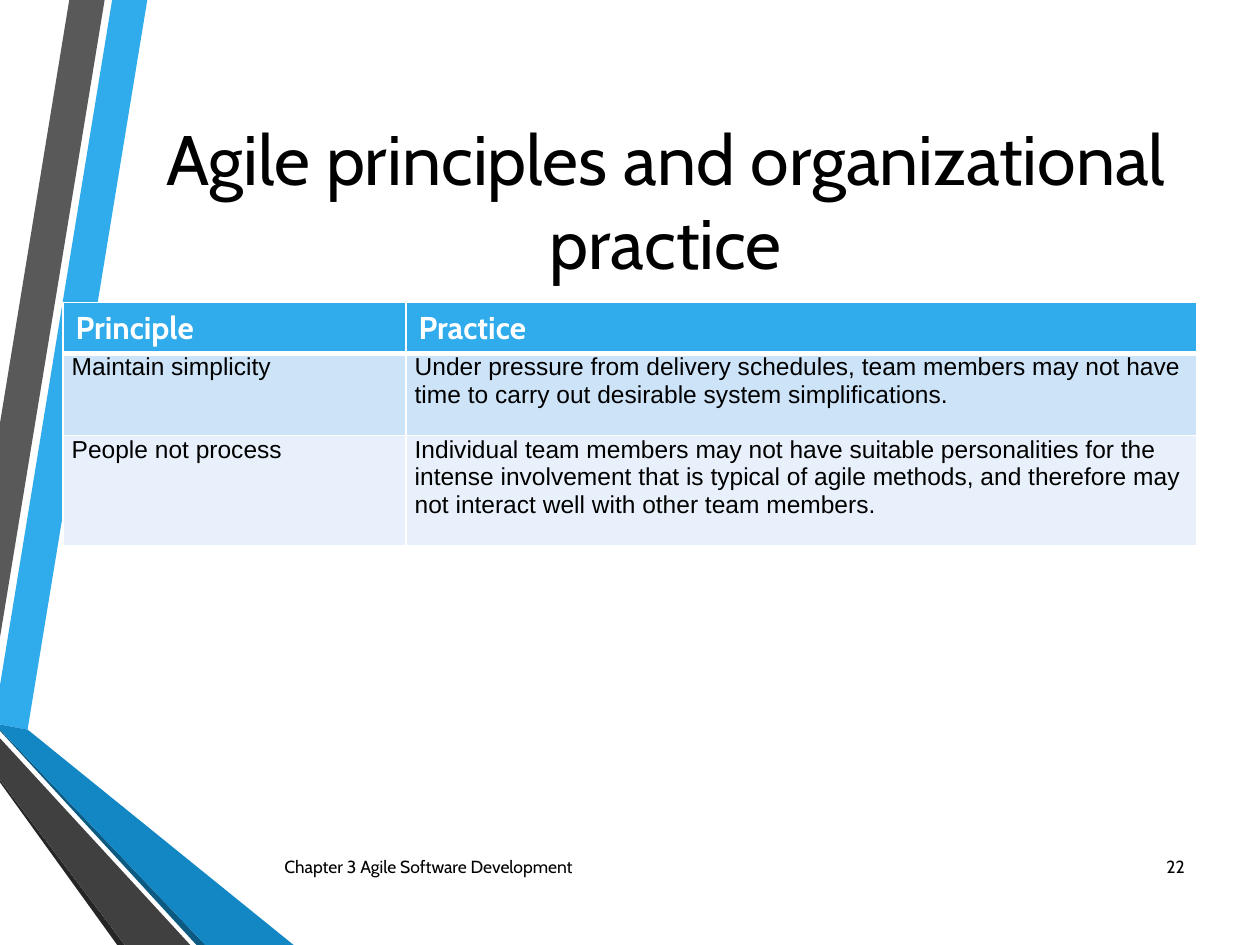
from lxml import etree
from pptx import Presentation
from pptx import util as u
from pptx.dml.color import RGBColor
from pptx.enum import text
from pptx.oxml import ns

Pt = u.Pt
COLORS = {
    "white": "FFFFFF", "black": "000000", "sky": "30ACEC", "blue": "1287C3",
    "navy": "0C5A82", "gray": "595959", "charcoal": "404040", "coal": "262626",
    "odd row": "CDE3F8", "even row": "E8F1FB",
}
# Ribbon outlines, in points from the corner of their box
RIBBONS = [
    ("sky", [(0, 391.7), (0, 414), (15.8, 416.9), (84.2, 0), (64.1, 0)]),
    ("gray", [(59.8, 0), (39.6, 0), (0, 241.9), (0, 364.3)]),
    ("coal", [(0, 445.7), (0, 447.1), (67, 540), (71.3, 540)]),
    ("navy", [(0, 416.9), (0, 417.6), (112.3, 540), (117.4, 540)]),
    ("blue", [(0, 416.9), (117.4, 540), (167.8, 540), (15.8, 416.9), (0, 414)]),
    ("charcoal", [(0, 445.7), (71.3, 540), (108.7, 540), (0, 421.9)]),
]
ROWS = [
    ("Principle", "Practice"),
    ("Maintain simplicity",
     "Under pressure from delivery schedules, team members may not have "
     "time to carry out desirable system simplifications."),
    ("People not process",
     "Individual team members may not have suitable personalities for the "
     "intense involvement that is typical of agile methods, and therefore may "
     "not interact well with other team members."),
]


def rgb(name):
    return RGBColor.from_string(COLORS[name])


def style_text(frame, size, font, color="black", bold=False, align=None):
    for para in frame.paragraphs:
        para.alignment = align
        for span in para.runs:
            span.font.size, span.font.name, span.font.bold = Pt(size), font, bold
            span.font.color.rgb = rgb(color)


def add_ribbons(page, left, top):
    for color, points in RIBBONS:
        corners = [(Pt(left + x), Pt(top + y)) for x, y in points]
        builder = page.shapes.build_freeform(*corners[0], scale=1.0)
        builder.add_line_segments(corners[1:], close=True)
        ribbon = builder.convert_to_shape()
        ribbon.shadow.inherit = False
        ribbon.fill.solid()
        ribbon.fill.fore_color.rgb = rgb(color)
        ribbon.line.fill.background()


def add_label(page, box, words, size, align):
    label = page.shapes.add_textbox(*map(Pt, box))
    frame = label.text_frame
    frame.word_wrap = True
    frame.vertical_anchor = text.MSO_ANCHOR.MIDDLE
    frame.text = words
    style_text(frame, size, "Cabin", align=align)


def set_borders(cell, widths):
    properties = cell._tc.get_or_add_tcPr()
    for side, width in widths.items():
        line = etree.SubElement(properties, ns.qn(f"a:ln{side}"), w=str(Pt(width)))
        fill = etree.SubElement(line, ns.qn("a:solidFill"))
        etree.SubElement(fill, ns.qn("a:srgbClr"), val=COLORS["white"])


def add_principles_table(page, box, column_widths, row_heights):
    table = page.shapes.add_table(len(ROWS), len(column_widths), *map(Pt, box)).table
    for column, width in zip(table.columns, column_widths):
        column.width = Pt(width)
    for index, (row, height, words) in enumerate(zip(table.rows, row_heights, ROWS)):
        row.height = Pt(height)
        header = index == 0
        fill = "sky" if header else "odd row" if index % 2 else "even row"
        for cell, content in zip(row.cells, words):
            cell.text = content
            # The line under the header is heavier
            set_borders(cell, {"L": 1, "R": 1, "T": 3 if index == 1 else 1,
                               "B": 3 if header else 1})
            cell.fill.solid()
            cell.fill.fore_color.rgb = rgb(fill)
            if header:
                style_text(cell.text_frame, 18, "Cabin", "white", bold=True)
            else:
                cell.margin_left = cell.margin_right = Pt(5)
                cell.margin_top = cell.margin_bottom = 0
                style_text(cell.text_frame, 14, "Arial")


def add_footer(page, left, top, width, height):
    number_width = 34
    add_label(page, (left, top, 418, height),
              "Chapter 3 Agile Software Development", 10, text.PP_ALIGN.LEFT)
    add_label(page, (left + width - number_width, top, number_width, height),
              "22", 10, text.PP_ALIGN.RIGHT)


def main():
    deck = Presentation()
    deck.slide_width, deck.slide_height = Pt(720), Pt(540)
    page = deck.slides.add_slide(deck.slide_layouts[6])
    add_ribbons(page, 0, 0)
    add_label(page, (77, 36, 607, 156),
              "Agile principles and organizational practice", 40, text.PP_ALIGN.CENTER)
    add_principles_table(page, (36, 172.8, 648, 139), (196, 452), (29.2, 47, 62.8))
    add_footer(page, 155.5, 481, 528.5, 28.8)
    deck.save("out.pptx")


if __name__ == "__main__":
    main()
